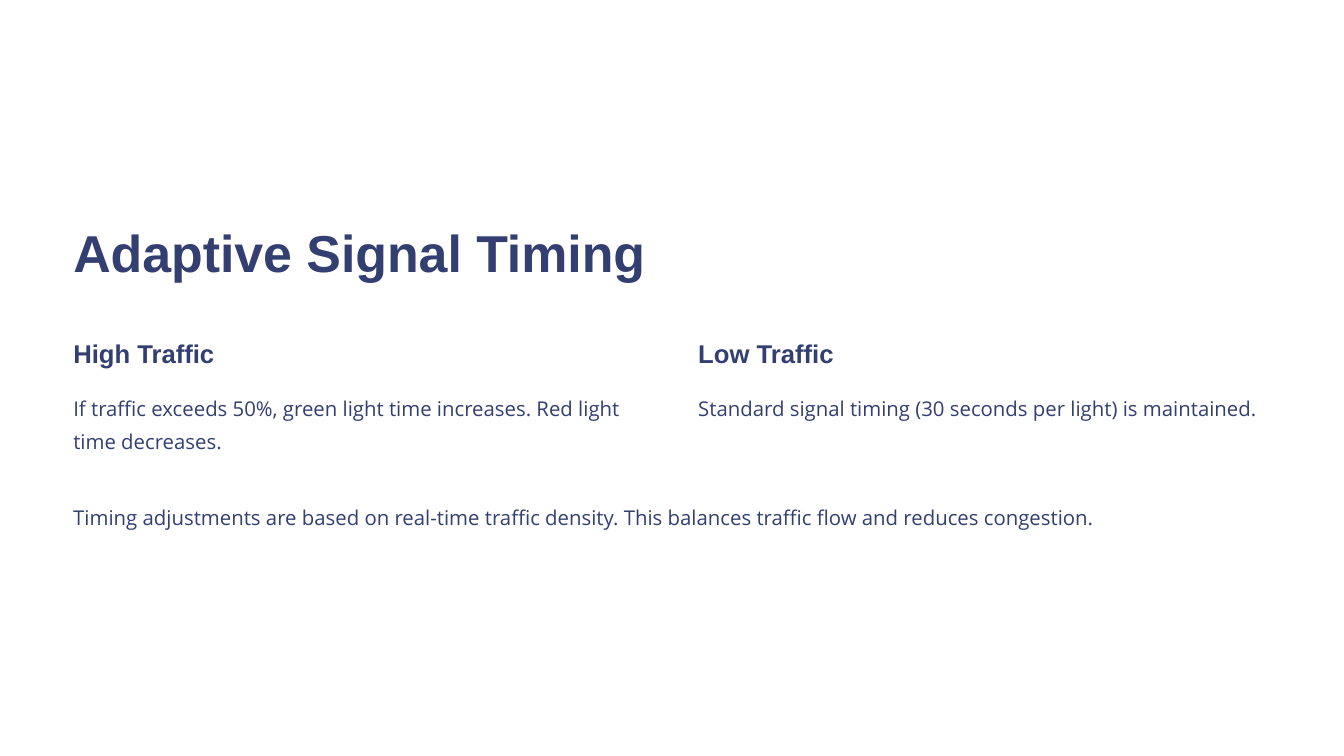
from pptx import Presentation
from pptx.dml.color import RGBColor
from pptx.enum.shapes import MSO_SHAPE as Shape
from pptx.enum.text import MSO_ANCHOR as Anchor, MSO_AUTO_SIZE as AutoSize, PP_ALIGN as Align
from pptx.oxml.ns import qn
from pptx.util import Inches, Pt
from lxml.etree import SubElement

COLORS = {"paper": "FFFFFF", "ink": "333F70"}
SLIDE_WIDTH, SLIDE_HEIGHT = Inches(20), Inches(11.25)
COMPARISON_LAYOUT = 4
LEFT, COLUMN_STEP, COLUMN_WIDTH = 1.09, 9.3, 8.54


def write_text(shape, text, *, font, size, line, color, bold=False):
    """Fill a shape with one left-aligned paragraph without bullet or margins."""
    frame = shape.text_frame
    frame.word_wrap = True
    frame.auto_size = AutoSize.NONE
    frame.vertical_anchor = Anchor.TOP
    frame.margin_left = frame.margin_top = frame.margin_right = frame.margin_bottom = 0

    paragraph = frame.paragraphs[0]
    properties = paragraph._p.get_or_add_pPr()
    properties.set("marL", "0")
    properties.set("indent", "0")
    SubElement(properties, qn("a:buNone"))
    paragraph.alignment = Align.LEFT
    paragraph.line_spacing = Pt(line)
    paragraph.space_before = Pt(0)

    run = paragraph.add_run()
    run.text = text
    run.font.name = font
    run.font.size = Pt(size)
    run.font.bold = bold
    run.font.color.rgb = RGBColor.from_string(color)


class SlideBuilder:
    title_style = dict(font="Arial", size=55.6, line=69.4, bold=True)
    heading_style = dict(font="Arial", size=27.5, line=34.4, bold=True)
    body_style = dict(font="Open Sans", size=21.8, line=35.5)

    def __init__(self, presentation):
        self.slide = presentation.slides.add_slide(presentation.slide_layouts[COMPARISON_LAYOUT])

    def backdrop(self):
        """Cover the slide with a plain panel behind everything else."""
        shapes = self.slide.shapes
        panel = shapes.add_shape(Shape.RECTANGLE, 0, 0, SLIDE_WIDTH, SLIDE_HEIGHT)
        panel.shadow.inherit = False
        panel.fill.solid()
        panel.fill.fore_color.rgb = RGBColor.from_string(COLORS["paper"])
        panel.line.fill.background()
        shapes._spTree.insert(2, panel._element)

    def fill_placeholder(self, index, text, box, style):
        shape = self.slide.placeholders[index]
        shape.left, shape.top, shape.width, shape.height = map(Inches, box)
        write_text(shape, text, color=COLORS["ink"], **style)

    def title(self, text):
        self.fill_placeholder(0, text, (LEFT, 3.25, 11.16, 1.02), self.title_style)

    def column(self, number, heading, body, body_height):
        left = LEFT + number * COLUMN_STEP
        index = 1 + 2 * number
        self.fill_placeholder(index, heading, (left, 5.01, 3.88, 0.52), self.heading_style)
        self.fill_placeholder(index + 1, body, (left, 5.77, COLUMN_WIDTH, body_height), self.body_style)

    def closing_note(self, text):
        box = map(Inches, (LEFT, 7.39, COLUMN_STEP + COLUMN_WIDTH, 0.57))
        write_text(self.slide.shapes.add_textbox(*box), text, color=COLORS["ink"], **self.body_style)


def main():
    presentation = Presentation()
    presentation.slide_width = SLIDE_WIDTH
    presentation.slide_height = SLIDE_HEIGHT
    builder = SlideBuilder(presentation)

    # Backdrop and title
    builder.backdrop()
    builder.title("Adaptive Signal Timing")

    # Two traffic cases side by side
    cases = [
        ("High Traffic", "If traffic exceeds 50%, green light time increases. Red light time decreases.", 1.06),
        ("Low Traffic", "Standard signal timing (30 seconds per light) is maintained.", 0.57),
    ]
    for number, case in enumerate(cases):
        builder.column(number, *case)

    # Closing note
    builder.closing_note(
        "Timing adjustments are based on real-time traffic density. "
        "This balances traffic flow and reduces congestion."
    )

    presentation.save("out.pptx")


if __name__ == "__main__":
    main()
